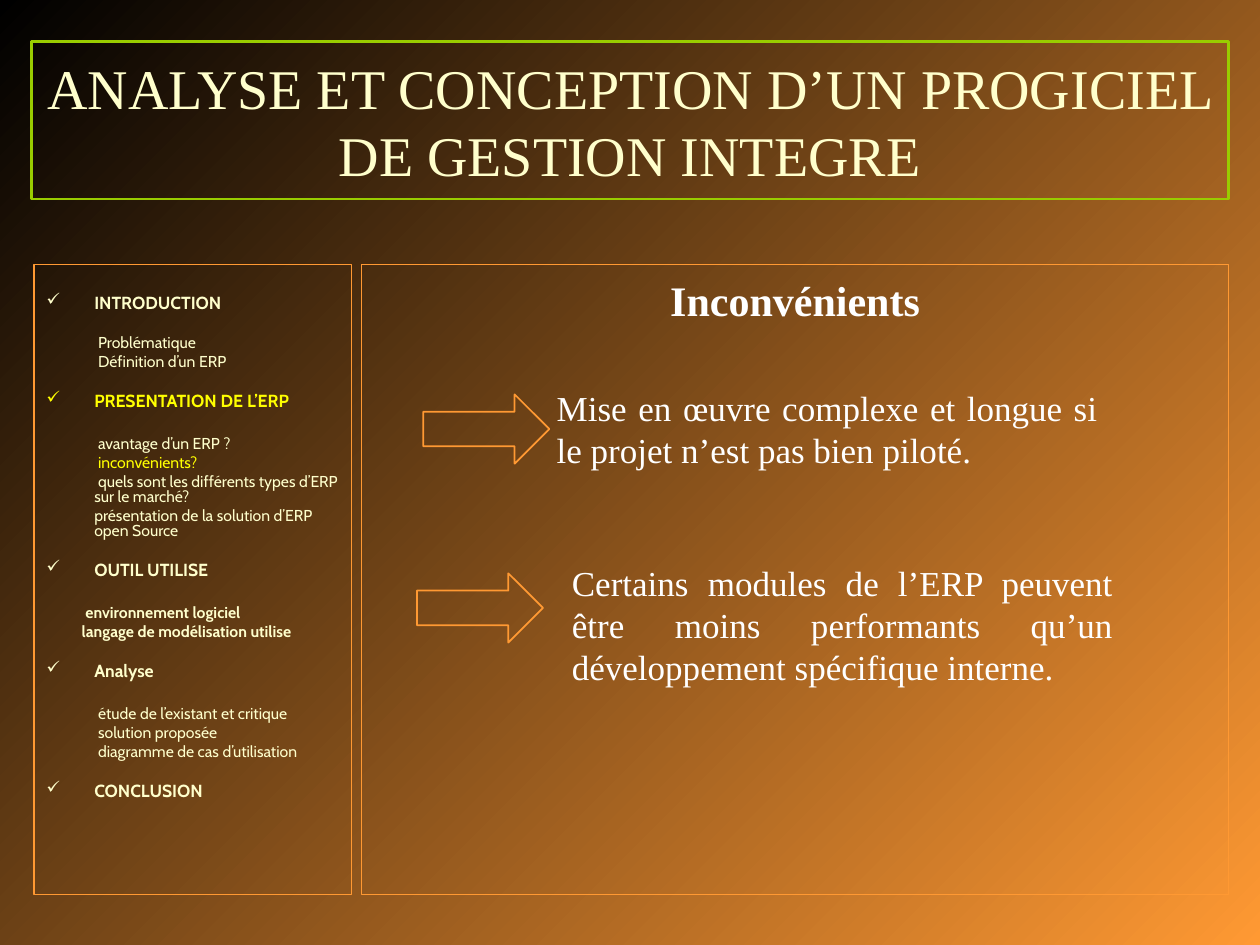
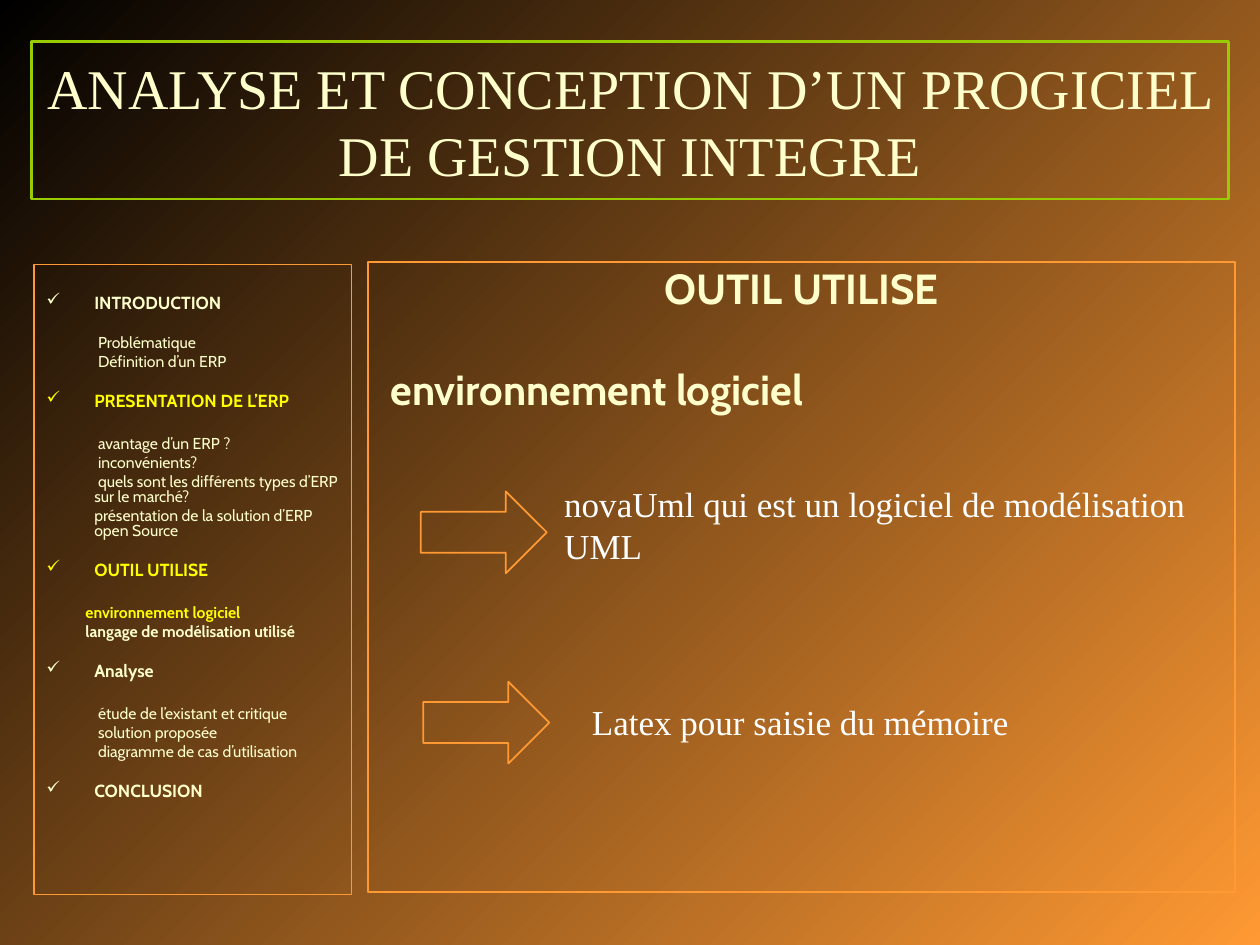
import pptx
import pptx.util
import pptx.dml.color
import pptx.enum.shapes
import pptx.enum.text
import pptx.oxml
import pptx.oxml.ns

Inches = pptx.util.Inches
Pt = pptx.util.Pt
Align = pptx.enum.text.PP_ALIGN
Anchor = pptx.enum.text.MSO_ANCHOR
Shape = pptx.enum.shapes.MSO_SHAPE

COLORS = {
    "black": "000000",
    "orange": "FF9933",
    "green": "99CC00",
    "cream": "FFFFCC",
    "yellow": "FFFF00",
    "white": "FFFFFF",
}
SERIF = "Times New Roman"
SANS = "Cabin"
TITLE = "ANALYSE ET CONCEPTION D’UN PROGICIEL DE GESTION INTEGRE"
TEXT_LEFT = 0.38

# Each chapter: heading, gap in points before its first item, bold items, items.
# Each item: text and first-line shift in inches.
MENU = [
    ("INTRODUCTION", 13.2, False, [
        ("Problématique", 0.03),
        ("Définition d’un ERP", 0.03)]),
    ("PRESENTATION DE L’ERP", 15.2, False, [
        ("avantage d’un ERP ?", 0.03),
        ("inconvénients?", 0.03),
        ("quels sont les différents types d’ERP sur le marché?", 0.03),
        ("présentation de la solution d’ERP open Source", 0)]),
    ("OUTIL UTILISE", 15.2, True, [
        ("environnement logiciel", -0.07)]),
    ("Analyse", 15.2, False, [
        ("étude de l’existant et critique", 0.03),
        ("solution proposée", 0.03),
        ("diagramme de cas d’utilisation", 0.03)]),
    ("CONCLUSION", 0, False, []),
]


def rgb(name):
    return pptx.dml.color.RGBColor.from_string(COLORS[name])


def new_slide(deck):
    slide = deck.slides.add_slide(deck.slide_layouts[6])
    fill = slide.background.fill
    fill.gradient()
    fill.gradient_angle = 315
    for stop, name, place in zip(fill.gradient_stops, ("black", "orange"), (0, 1)):
        stop.color.rgb = rgb(name)
        stop.position = place
    return slide


def add_frame(slide, kind, box, line="orange", width=1):
    """Add an unfilled outlined shape."""
    shape = slide.shapes.add_shape(kind, *map(Inches, box))
    shape.shadow.inherit = False
    shape.fill.background()
    shape.line.color.rgb = rgb(line)
    shape.line.width = Pt(width)
    return shape


def set_frame(shape, top=0.05, anchor=Anchor.TOP):
    frame = shape.text_frame
    frame.word_wrap = True
    frame.vertical_anchor = anchor
    frame.margin_left = frame.margin_right = Inches(0.1)
    frame.margin_top = Inches(top)
    frame.margin_bottom = Inches(0.05)
    return frame


def add_text(frame, text, size, color, font, bold=False, align=Align.LEFT,
             before=0, spacing=1.0):
    """Add a paragraph of one run, using the empty first paragraph if free."""
    first = frame.paragraphs[0]
    par = frame.add_paragraph() if first.runs else first
    par.alignment = align
    par.space_before = Pt(before)
    par.line_spacing = spacing
    run = par.add_run()
    run.text = text
    run.font.size = Pt(size)
    run.font.name = font
    run.font.bold = bold
    run.font.color.rgb = rgb(color)
    return par


def set_indent(par, left, shift):
    props = par._p.get_or_add_pPr()
    props.set("marL", str(Inches(left)))
    props.set("indent", str(Inches(shift)))
    return props


def add_check(par, color):
    """Hang a coloured check mark before the paragraph."""
    props = set_indent(par, TEXT_LEFT, -TEXT_LEFT)
    tint = pptx.oxml.parse_xml(
        f'<a:buClr {pptx.oxml.ns.nsdecls("a")}><a:srgbClr val="{COLORS[color]}"/></a:buClr>')
    mark = pptx.oxml.parse_xml(f'<a:buChar {pptx.oxml.ns.nsdecls("a")} char="✓"/>')
    props.extend([tint, mark])


def add_title(slide):
    shape = add_frame(slide, Shape.RECTANGLE, (0.25, 0.33, 9.5, 1.25), "green", 1.5)
    frame = set_frame(shape, anchor=Anchor.MIDDLE)
    add_text(frame, TITLE, 32, "cream", SERIF, align=Align.CENTER)


def add_menu(slide, active, language):
    """Add the side menu; active texts are lit, language is the last tool item."""
    shape = add_frame(slide, Shape.RECTANGLE, (0.27, 2.1, 2.52, 5))
    frame = set_frame(shape, top=0.25)
    for place, (head, gap, bold, items) in enumerate(MENU):
        color = "yellow" if head in active else "cream"
        par = add_text(frame, head, 10, color, SANS, True,
                       before=13.4 if place else 0, spacing=0.8)
        add_check(par, color)
        extra = [language] if head == "OUTIL UTILISE" else []
        for row, (text, shift) in enumerate(items + extra):
            color = "yellow" if text in active else "cream"
            par = add_text(frame, text, 9, color, SANS, bold,
                           before=2.2 if row else gap, spacing=0.8)
            set_indent(par, TEXT_LEFT, shift)


def add_panel(slide, left, top, inset):
    shape = add_frame(slide, Shape.RECTANGLE, (left, top, 6.88, 5))
    return set_frame(shape, top=inset)


def add_arrow(slide, left, top, height):
    add_frame(slide, Shape.RIGHT_ARROW, (left, top, 1, height))


def add_point(slide, box, lines, align=Align.LEFT):
    frame = set_frame(slide.shapes.add_textbox(*map(Inches, box)))
    for line in lines:
        add_text(frame, line, 20, "white", SERIF, align=align)


def build_limits(deck):
    slide = new_slide(deck)
    add_title(slide)
    add_menu(slide, ("PRESENTATION DE L’ERP", "inconvénients?"),
             ("langage de modélisation utilise", -0.1))
    panel = add_panel(slide, 2.87, 2.1, 0.08)
    add_text(panel, "Inconvénients", 24, "white", SERIF, True, Align.CENTER)
    add_arrow(slide, 3.36, 3.13, 0.55)
    add_point(slide, (4.32, 3.02, 4.49, 0.77),
              ["Mise en œuvre complexe et longue si le projet n’est pas bien piloté."],
              Align.JUSTIFY)
    add_arrow(slide, 3.31, 4.55, 0.55)
    add_point(slide, (4.44, 4.41, 4.49, 1.1),
              ["Certains modules de l’ERP peuvent être moins performants "
               "qu’un développement spécifique interne."], Align.JUSTIFY)


def build_tools(deck):
    slide = new_slide(deck)
    add_title(slide)
    add_menu(slide, ("PRESENTATION DE L’ERP", "OUTIL UTILISE", "environnement logiciel"),
             ("langage de modélisation utilisé", -0.07))
    panel = add_panel(slide, 2.92, 2.08, 0.08)
    add_text(panel, "OUTIL UTILISE", 24, "cream", SANS, True, Align.CENTER, spacing=0.8)
    par = add_text(panel, "environnement logiciel", 24, "cream", SANS, True,
                   before=34.5, spacing=0.8)
    set_indent(par, 0, 0.08)
    add_arrow(slide, 3.34, 3.9, 0.65)
    add_point(slide, (4.38, 3.78, 5.2, 0.77),
              ["novaUml qui est un logiciel de modélisation", "UML"])
    add_arrow(slide, 3.36, 5.41, 0.65)
    add_point(slide, (4.6, 5.51, 3.6, 0.44), ["Latex pour saisie du mémoire"])


def main():
    deck = pptx.Presentation()
    deck.slide_width = Inches(10)
    deck.slide_height = Inches(7.5)
    build_limits(deck)
    build_tools(deck)
    deck.save("out.pptx")


if __name__ == "__main__":
    main()
